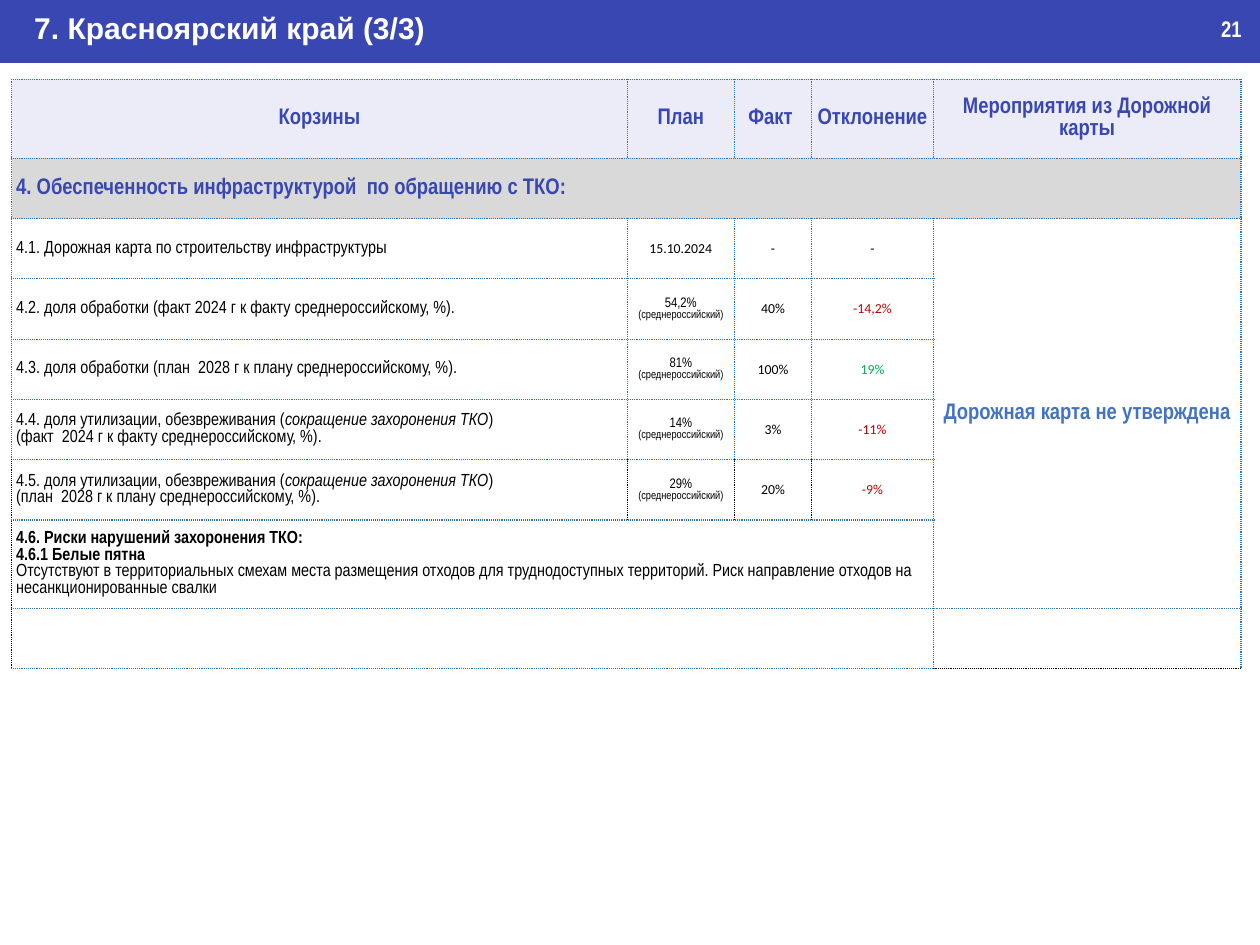
from dataclasses import dataclass

from lxml import etree
from pptx import Presentation
from pptx import util as u
from pptx.dml.color import RGBColor
from pptx.enum import shapes, text
from pptx.oxml.ns import qn


@dataclass(frozen=True)
class Theme:
    brand: str = "3847B1"
    white: str = "FFFFFF"
    black: str = "000000"
    header: str = "EBECF7"
    section: str = "D9D9D9"
    border: str = "2E75B6"
    accent: str = "4472C4"
    bad: str = "C00000"
    good: str = "00B050"
    title_font: str = "Arial"
    label_font: str = "Arial Narrow"
    value_font: str = "Calibri"
    title_size: int = 24
    head_size: int = 18
    label_size: int = 14
    value_size: int = 11
    note_size: int = 9


THEME = Theme()
WIDTH, HEIGHT = 14, 10.5
COLUMNS = (6.84, 1.19, 0.86, 1.35, 3.42)
ROWS = (0.88, *[0.67] * 6, 0.98, 0.67)
INDICATOR_ROW, RISK_ROW, LAST_ROW = 2, 7, 8
LAST_COLUMN = len(COLUMNS) - 1
BLACK_ROW = 6  # row 4.5 has black vertical rules


@dataclass(frozen=True)
class Para:
    """Paragraph text; *asterisks* mark italics, a newline is a line break."""
    words: str
    size: int = THEME.label_size
    color: str = THEME.black
    bold: bool = False
    font: str = THEME.label_font
    align: text.PP_ALIGN = text.PP_ALIGN.LEFT


@dataclass(frozen=True)
class Indicator:
    label: str
    plan: str
    fact: str
    gap: str
    gap_color: str = THEME.black
    average: bool = True


HEADERS = ("Корзины", "План", "Факт ", "Отклонение", "Мероприятия из Дорожной карты")
RECYCLING = "доля утилизации, обезвреживания (*сокращение захоронения ТКО*) \n"
INDICATORS = (
    Indicator("4.1. Дорожная карта по строительству инфраструктуры",
              "15.10.2024", "-", "-", average=False),
    Indicator("4.2. доля обработки (факт 2024 г к факту среднероссийскому, %).",
              "54,2%", "40%", "-14,2%", THEME.bad),
    Indicator("4.3. доля обработки (план  2028 г к плану среднероссийскому, %).",
              "81%", "100%", "19%", THEME.good),
    Indicator(f"4.4. {RECYCLING}(факт  2024 г к факту среднероссийскому, %).",
              "14%", "3%", "-11%", THEME.bad),
    Indicator(f"4.5. {RECYCLING}(план  2028 г к плану среднероссийскому, %).",
              "29%", "20%", "-9%", THEME.bad),
)
RISKS = (
    Para("4.6. Риски нарушений захоронения ТКО:", bold=True),
    Para("4.6.1 Белые пятна", bold=True),
    Para("Отсутствуют в территориальных смехам места размещения отходов для "
         "труднодоступных территорий. Риск направление отходов на "
         "несанкционированные свалки"),
)


def heading(words: str, color: str = THEME.brand, align=text.PP_ALIGN.CENTER) -> Para:
    return Para(words, THEME.head_size, color, True, align=align)


def value(words: str, color: str = THEME.black) -> Para:
    return Para(words, THEME.value_size, color, font=THEME.value_font,
                align=text.PP_ALIGN.CENTER)


def plan_paras(item: Indicator) -> list[Para]:
    if not item.average:
        return [value(item.plan)]
    return [Para(item.plan, THEME.value_size, align=text.PP_ALIGN.CENTER),
            Para("(среднероссийский)", THEME.note_size, align=text.PP_ALIGN.CENTER)]


def write(frame, paras) -> None:
    for index, item in enumerate(paras):
        para = frame.add_paragraph() if index else frame.paragraphs[0]
        para.alignment = item.align
        para.line_spacing = 1.0
        font = para.font
        font.name, font.size, font.bold = item.font, u.Pt(item.size), item.bold
        font.color.rgb = RGBColor.from_string(item.color)
        for part, words in enumerate(item.words.split("*")):
            for line, piece in enumerate(words.split("\n")):
                if line:
                    para.add_line_break()
                span = para.add_run()
                span.text = piece
                if part % 2:
                    span.font.italic = True


def set_margins(frame, left: float, top: float, right: float, bottom: float) -> None:
    frame.margin_left, frame.margin_top = u.Inches(left), u.Inches(top)
    frame.margin_right, frame.margin_bottom = u.Inches(right), u.Inches(bottom)


def place(box, left: float, top: float, width: float, height: float) -> None:
    box.left, box.top = u.Inches(left), u.Inches(top)
    box.width, box.height = u.Inches(width), u.Inches(height)


def border_color(side: str, row: int, column: int) -> str:
    black = (
        side == "L" and column == 0 and row >= BLACK_ROW
        or side == "L" and row == BLACK_ROW and column < LAST_COLUMN
        or side == "R" and row == BLACK_ROW and column < LAST_COLUMN - 1
        or side == "B" and row == LAST_ROW and column == LAST_COLUMN
    )
    return THEME.black if black else THEME.border


def style_cell(cell, row: int, column: int) -> None:
    set_margins(cell, 0.05, 0.02, 0.05, 0.02)
    cell.vertical_anchor = text.MSO_ANCHOR.MIDDLE
    # Borders come before the fill in the cell properties
    properties = cell._tc.get_or_add_tcPr()
    for side in "LRTB":
        line = etree.SubElement(properties, qn(f"a:ln{side}"), w=str(u.Pt(1)))
        fill = etree.SubElement(line, qn("a:solidFill"))
        etree.SubElement(fill, qn("a:srgbClr"), val=border_color(side, row, column))
        etree.SubElement(line, qn("a:prstDash"), val="sysDot")
    fills = {0: THEME.header, 1: THEME.section}
    if row in fills:
        cell.fill.solid()
        cell.fill.fore_color.rgb = RGBColor.from_string(fills[row])
    else:
        cell.fill.background()


def draw_header(page) -> None:
    # Title bar goes behind the title
    title = page.shapes.title
    bar = page.shapes.add_shape(shapes.MSO_SHAPE.RECTANGLE, 0, 0,
                                u.Inches(WIDTH), u.Inches(0.7))
    bar.shadow.inherit = False
    bar.fill.solid()
    bar.fill.fore_color.rgb = RGBColor.from_string(THEME.brand)
    bar.line.fill.background()
    title.element.addprevious(bar.element)

    number = page.shapes.add_textbox(0, 0, 0, 0)
    place(title, -0.01, 0.06, 13.99, 0.5)
    place(number, 13.47, 0.12, 0.52, 0.4)
    set_margins(title.text_frame, 0.39, 0.05, 0.1, 0.05)
    for box, para in (
        (title, Para("7. Красноярский край (3/3)", THEME.title_size, THEME.white,
                     True, THEME.title_font)),
        (number, Para("21", THEME.head_size, THEME.white, True)),
    ):
        box.text_frame.word_wrap = True
        box.text_frame.auto_size = text.MSO_AUTO_SIZE.SHAPE_TO_FIT_TEXT
        box.text_frame.vertical_anchor = text.MSO_ANCHOR.TOP
        write(box.text_frame, [para])


def draw_table(page) -> None:
    table = page.shapes.add_table(
        len(ROWS), len(COLUMNS), u.Inches(0.13), u.Inches(0.88),
        u.Inches(sum(COLUMNS)), u.Inches(sum(ROWS))).table
    table.first_row = table.horz_banding = False
    for column, width in enumerate(COLUMNS):
        table.columns[column].width = u.Inches(width)
    for row, height in enumerate(ROWS):
        table.rows[row].height = u.Inches(height)
        for column in range(len(COLUMNS)):
            style_cell(table.cell(row, column), row, column)

    # Merged areas: section, road map, risks, closing row
    for first, last in (((1, 0), (1, LAST_COLUMN)),
                        ((INDICATOR_ROW, LAST_COLUMN), (RISK_ROW, LAST_COLUMN)),
                        ((RISK_ROW, 0), (RISK_ROW, LAST_COLUMN - 1)),
                        ((LAST_ROW, 0), (LAST_ROW, LAST_COLUMN - 1))):
        table.cell(*first).merge(table.cell(*last))

    # Wording
    contents = {(0, column): [heading(words)] for column, words in enumerate(HEADERS)}
    contents[1, 0] = [heading("4. Обеспеченность инфраструктурой  по обращению с ТКО:",
                              align=text.PP_ALIGN.LEFT)]
    contents[INDICATOR_ROW, LAST_COLUMN] = [
        heading("Дорожная карта не утверждена", THEME.accent)]
    contents[RISK_ROW, 0] = RISKS
    for row, item in enumerate(INDICATORS, INDICATOR_ROW):
        cells = ([Para(item.label)], plan_paras(item), [value(item.fact)],
                 [value(item.gap, item.gap_color)])
        contents.update({(row, column): paras for column, paras in enumerate(cells)})
    for position, paras in contents.items():
        write(table.cell(*position).text_frame, paras)


def main() -> None:
    deck = Presentation()
    deck.slide_width, deck.slide_height = u.Inches(WIDTH), u.Inches(HEIGHT)
    page = deck.slides.add_slide(deck.slide_layouts.get_by_name("Title Only"))
    draw_header(page)
    draw_table(page)
    deck.save("out.pptx")


if __name__ == "__main__":
    main()
